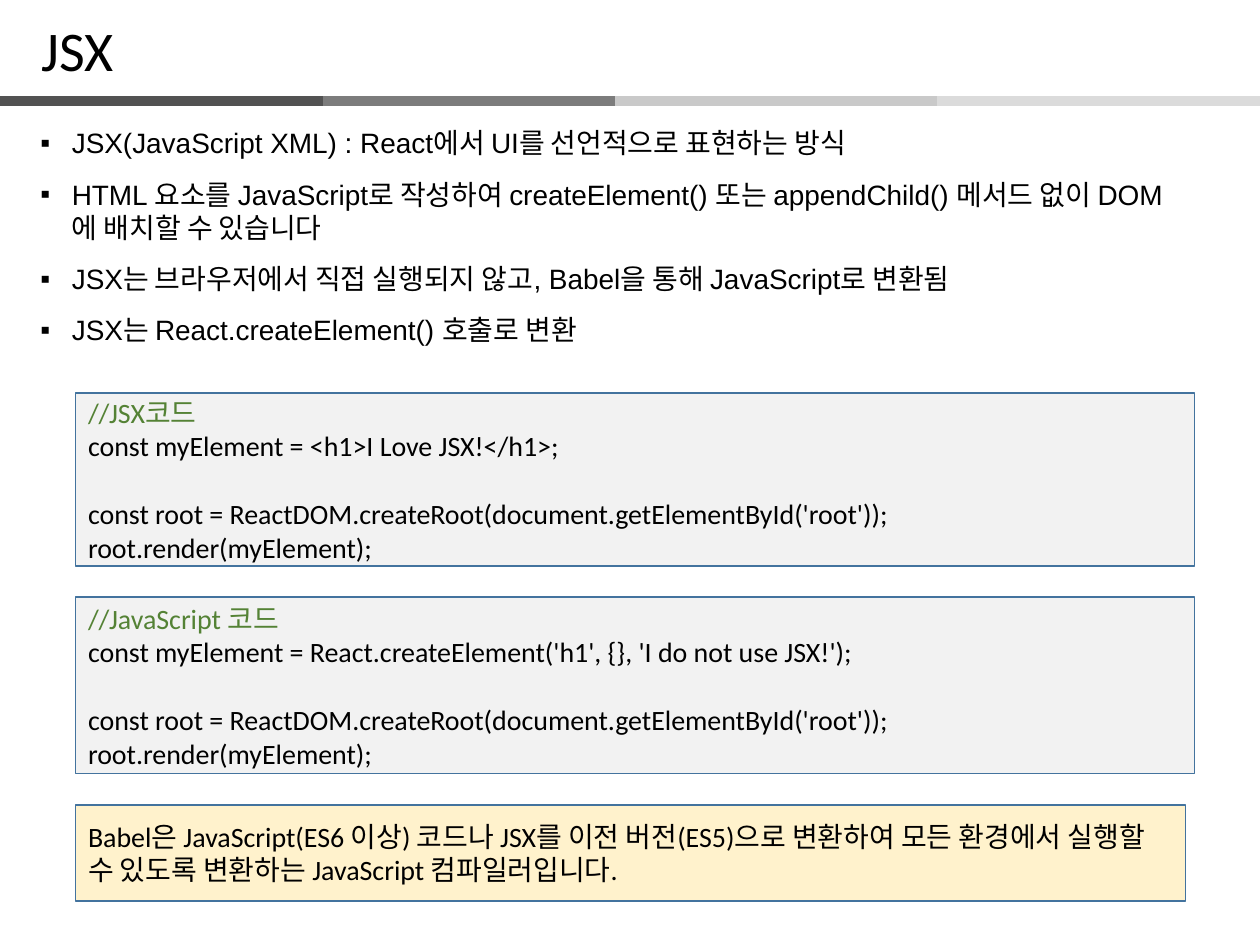
from lxml import etree
from pptx import Presentation
from pptx.dml.color import RGBColor
from pptx.enum import shapes, text
from pptx.oxml import ns
from pptx.util import Inches, Pt

BLACK = RGBColor(0x00, 0x00, 0x00)
GREEN = RGBColor(0x54, 0x82, 0x35)
BLUE = RGBColor(0x43, 0x73, 0x9E)
GRAY = RGBColor(0xF2, 0xF2, 0xF2)
CREAM = RGBColor(0xFF, 0xF2, 0xCC)
BARS = [
    (2.32, RGBColor(0x7C, 0x7C, 0x7C)),
    (4.88, RGBColor(0xC9, 0xC9, 0xC9)),
    (7.44, RGBColor(0xDB, 0xDB, 0xDB)),
    (0, RGBColor(0x52, 0x52, 0x52)),
]
ROOT = "const root = ReactDOM.createRoot(document.getElementById('root'));"
CALL = "root.render(myElement);"


def place(shape, left, top, width, height):
    spots = {"left": left, "top": top, "width": width, "height": height}
    for name, value in spots.items():
        setattr(shape, name, Inches(value))


def write(frame, lines, face, size, anchor):
    """Fill a text frame with left-aligned lines; '//' comments turn green."""
    form = {"word_wrap": True, "auto_size": text.MSO_AUTO_SIZE.NONE,
            "vertical_anchor": anchor}
    for name, value in form.items():
        setattr(frame, name, value)
    for i, line in enumerate(lines):
        para = frame.paragraphs[0] if i == 0 else frame.add_paragraph()
        para.alignment = text.PP_ALIGN.LEFT
        run = para.add_run()
        run.text = line
        run.font.name = face
        run.font.size = Pt(size)
        run.font.color.rgb = GREEN if line.startswith("//") else BLACK


deck = Presentation()
deck.slide_width, deck.slide_height = Inches(10), Inches(7.5)
slide = deck.slides.add_slide(deck.slide_layouts[1])

# Divider under the title
for left, color in BARS:
    bar = slide.shapes.add_connector(
        shapes.MSO_CONNECTOR.STRAIGHT,
        Inches(left), Inches(0.8), Inches(left + 2.56), Inches(0.8))
    bar.line.color.rgb = color
    bar.line.width = Pt(6)
    etree.SubElement(bar._element.spPr, ns.qn("a:effectLst"))

# Title
title = slide.shapes.title
place(title, 0.23, 0.07, 3.63, 0.64)
write(title.text_frame, ["JSX"], "Calibri", 32, text.MSO_ANCHOR.TOP)

# Bullet list
body = slide.placeholders[1]
place(body, 0.22, 0.95, 9.21, 1.12)
write(body.text_frame, [
    "JSX(JavaScript XML) : React에서 UI를 선언적으로 표현하는 방식",
    "HTML 요소를 JavaScript로 작성하여 createElement() 또는 appendChild() 메서드 없이 DOM에 배치할 수 있습니다",
    "JSX는 브라우저에서 직접 실행되지 않고, Babel을 통해 JavaScript로 변환됨",
    "JSX는 React.createElement() 호출로 변환",
], "Arial", 16, text.MSO_ANCHOR.TOP)
for para in body.text_frame.paragraphs:
    para.space_before = Pt(10)
    props = para._p.get_or_add_pPr()
    props.set("marL", str(Inches(0.25)))
    props.set("indent", str(-Inches(0.25)))
    etree.SubElement(props, ns.qn("a:buFont"), typeface="Arial")
    etree.SubElement(props, ns.qn("a:buChar"), char="▪")

# Code boxes and closing note
boxes = [
    (3.12, 8.88, 1.37, GRAY,
     ["//JSX코드", "const myElement = <h1>I Love JSX!</h1>;", ROOT, CALL]),
    (4.74, 8.88, 1.4, GRAY,
     ["//JavaScript 코드",
      "const myElement = React.createElement('h1', {}, 'I do not use JSX!');",
      ROOT, CALL]),
    (6.39, 8.81, 0.76, CREAM,
     ["Babel은 JavaScript(ES6 이상) 코드나 JSX를 이전 버전(ES5)으로 변환하여 모든 환경에서 "
      "실행할 수 있도록 변환하는 JavaScript 컴파일러입니다."]),
]
for top, width, height, fill, lines in boxes:
    box = slide.shapes.add_shape(
        shapes.MSO_SHAPE.RECTANGLE,
        Inches(0.6), Inches(top), Inches(width), Inches(height))
    box.shadow.inherit = False
    box.fill.solid()
    box.fill.fore_color.rgb = fill
    box.line.color.rgb = BLUE
    box.line.width = Pt(1)
    write(box.text_frame, lines, "Calibri", 16, text.MSO_ANCHOR.MIDDLE)
    for para in box.text_frame.paragraphs:
        if para.text == ROOT:
            para.space_before = Pt(19.5)

deck.save("out.pptx")
